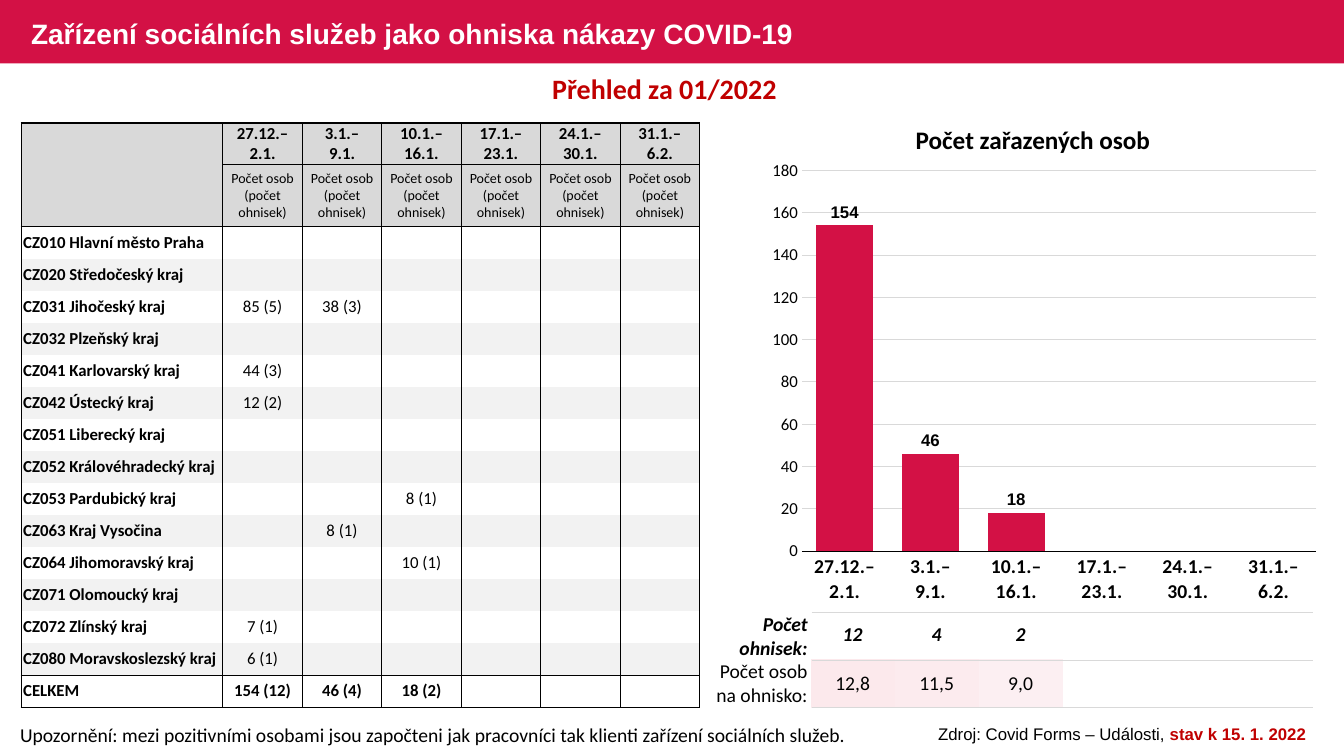
import pptx
import pptx.chart.data
import pptx.dml.color
import pptx.enum.chart
import pptx.enum.shapes
import pptx.enum.text
import pptx.oxml
import pptx.oxml.ns
import pptx.util
from pptx.util import Inches

RED, DARK_RED, BLACK, WHITE = "D31145", "C00000", "000000", "FFFFFF"
HEADER_GREY, BAND_GREY, LINE_GREY = "D9D9D9", "F2F2F2", "D9D9D9"
PLAIN_TABLE_STYLE = "{2D5ABB26-0587-4C30-8999-92F81FD0307C}"
LEFT, CENTER, RIGHT = (pptx.enum.text.PP_ALIGN.LEFT, pptx.enum.text.PP_ALIGN.CENTER,
                       pptx.enum.text.PP_ALIGN.RIGHT)
MIDDLE = pptx.enum.text.MSO_ANCHOR.MIDDLE

WEEKS = ["27.12.–\n2.1.", "3.1.–\n9.1.", "10.1.–\n16.1.",
         "17.1.–\n23.1.", "24.1.–\n30.1.", "31.1.–\n6.2."]
PERSONS = [154, 46, 18, None, None, None]
REGIONS = [
    ("CZ010 Hlavní město Praha", []),
    ("CZ020 Středočeský kraj", []),
    ("CZ031 Jihočeský kraj", ["85 (5)", "38 (3)"]),
    ("CZ032 Plzeňský kraj", []),
    ("CZ041 Karlovarský kraj", ["44 (3)"]),
    ("CZ042 Ústecký kraj", ["12 (2)"]),
    ("CZ051 Liberecký kraj", []),
    ("CZ052 Královéhradecký kraj", []),
    ("CZ053 Pardubický kraj", ["", "", "8 (1)"]),
    ("CZ063 Kraj Vysočina", ["", "8 (1)"]),
    ("CZ064 Jihomoravský kraj", ["", "", "10 (1)"]),
    ("CZ071 Olomoucký kraj", []),
    ("CZ072 Zlínský kraj", ["7 (1)"]),
    ("CZ080 Moravskoslezský kraj", ["6 (1)"]),
    ("CELKEM", ["154 (12)", "46 (4)", "18 (2)"]),
]
OUTBREAKS = [
    ("Počet ohnisek:", ["12", "4", "2"], [], True),
    ("Počet osob na ohnisko:", ["12,8", "11,5", "9,0"], ["FCE9EC", "FCEBEE", "FCEFF2"], False),
]


def rgb(color):
    return pptx.dml.color.RGBColor.from_string(color)


def style_font(font, size, color=BLACK, name="Calibri", bold=False, italic=False):
    font.size, font.name, font.bold, font.italic = pptx.util.Pt(size), name, bold, italic
    font.color.rgb = rgb(color)


def add_text(slide, box, runs, size, align=LEFT, name="Calibri", anchor=None):
    """Add a one-paragraph text box; runs is a list of (text, color, bold)."""
    frame = slide.shapes.add_textbox(*map(Inches, box)).text_frame
    frame.word_wrap = True
    frame.vertical_anchor = anchor
    paragraph = frame.paragraphs[0]
    paragraph.alignment = align
    for text, color, bold in runs:
        run = paragraph.add_run()
        run.text = text
        if len(runs) > 1:
            style_font(run.font, size, color, name, bold)
    if len(runs) == 1:
        style_font(paragraph.font, size, color, name, bold)


def add_plain_table(slide, left, top, widths, heights):
    frame = slide.shapes.add_table(len(heights), len(widths), Inches(left), Inches(top),
                                   Inches(sum(widths)), Inches(sum(heights)))
    table = frame.table
    table.first_row = table.horz_banding = False
    next(frame._element.iter(pptx.oxml.ns.qn("a:tableStyleId"))).text = PLAIN_TABLE_STYLE
    for column, width in zip(table.columns, widths):
        column.width = Inches(width)
    for row, height in zip(table.rows, heights):
        row.height = Inches(height)
    return table


def set_borders(cell, sides, color):
    """Draw cell edges; sides maps L, R, T and B to widths in points, others stay empty."""
    properties = cell._tc.get_or_add_tcPr()
    for position, side in enumerate("LRTB"):
        paint = (f'<a:solidFill><a:srgbClr val="{color}"/></a:solidFill>'
                 if side in sides else "<a:noFill/>")
        properties.insert(position, pptx.oxml.parse_xml(
            f'<a:ln{side} {pptx.oxml.ns.nsdecls("a")} w="{int(sides.get(side, 1) * 12700)}">'
            f'{paint}</a:ln{side}>'))


def fill_cell(cell, text, size, align=CENTER, bold=False, italic=False, fill=None,
              margins=(0.01, 0.01)):
    cell.margin_left, cell.margin_right = map(Inches, margins)
    cell.margin_top = cell.margin_bottom = 0
    cell.vertical_anchor = MIDDLE
    paragraph = cell.text_frame.paragraphs[0]
    if text:
        paragraph.text = text
    paragraph.alignment = align
    style_font(paragraph.font, size, bold=bold, italic=italic)
    if fill:
        cell.fill.solid()
        cell.fill.fore_color.rgb = rgb(fill)
    else:
        cell.fill.background()


def add_region_table(slide):
    row_height = (5.8 - 0.41 - 0.62) / len(REGIONS)
    table = add_plain_table(slide, 0.21, 1.22, [2] + [4.73 / len(WEEKS)] * len(WEEKS),
                            [0.41, 0.62] + [row_height] * len(REGIONS))
    for column, week in enumerate([""] + WEEKS):
        unit = "Počet osob (počet ohnisek)" if week else ""
        fill_cell(table.cell(0, column), week, 12, bold=True, fill=HEADER_GREY)
        fill_cell(table.cell(1, column), unit, 10, fill=HEADER_GREY)
    for row, (region, counts) in enumerate(REGIONS, 2):
        is_total = region == "CELKEM"
        fill = BAND_GREY if row % 2 and not is_total else None
        fill_cell(table.cell(row, 0), region, 12, LEFT, True, fill=fill, margins=(0.02, 0.02))
        for column in range(1, len(WEEKS) + 1):
            text = counts[column - 1] if column <= len(counts) else ""
            fill_cell(table.cell(row, column), text, 12, bold=is_total, fill=fill)
    total_row = len(REGIONS) + 1
    edges = {0: {"T": 1, "B": 1}, 1: {"T": 1, "B": 0.5}, 2: {"T": 0.5},
             total_row - 1: {"B": 1}, total_row: {"T": 1, "B": 1}}
    corner_edges = {0: {"T": 1}, 1: {"B": 0.5}}
    for row in range(total_row + 1):
        for column in range(len(WEEKS) + 1):
            row_edges = edges.get(row, {})
            if column == 0:
                row_edges = corner_edges.get(row, row_edges)
            set_borders(table.cell(row, column), {"L": 1, "R": 1, **row_edges}, BLACK)


def add_outbreak_values(slide):
    table = add_plain_table(slide, 8.04, 6.06, [5 / len(WEEKS)] * len(WEEKS), [0.48] * 2)
    for row, (_, numbers, fills, emphasis) in enumerate(OUTBREAKS):
        for column in range(len(WEEKS)):
            fill_cell(table.cell(row, column),
                      numbers[column] if column < len(numbers) else "", 14,
                      bold=emphasis, italic=emphasis,
                      fill=fills[column] if column < len(fills) else None)


def add_outbreak_labels(slide):
    """Add the row labels and the grey rules that run on beside them."""
    table = add_plain_table(slide, 7.04, 6.08, [1.01] + [0.71] * 7, [0.47] * 2)
    for row, (label, _, _, emphasis) in enumerate(OUTBREAKS):
        fill_cell(table.cell(row, 0), label, 14, RIGHT, emphasis, emphasis,
                  margins=(0.01, 0.04))
        for column in range(1, 8):
            fill_cell(table.cell(row, column), "", 14)
            set_borders(table.cell(row, column), {"T": 1, "B": 1}, LINE_GREY)


def set_plot_area(chart, x, y, width, height):
    """Fix the inner plot area, in fractions of the chart."""
    parts = "".join(f'<c:{tag} val="{value}"/>' for tag, value in
                    zip("xywh", (x, y, width, height)))
    plot_area = chart._chartSpace.chart.plotArea
    for layout in plot_area.findall(pptx.oxml.ns.qn("c:layout")):
        plot_area.remove(layout)
    plot_area.insert(0, pptx.oxml.parse_xml(
        f'<c:layout {pptx.oxml.ns.nsdecls("c")}><c:manualLayout><c:layoutTarget val="inner"/>'
        f'<c:xMode val="edge"/><c:yMode val="edge"/>{parts}</c:manualLayout></c:layout>'))


def add_person_chart(slide):
    data = pptx.chart.data.CategoryChartData()
    data.categories = WEEKS
    data.add_series("Series 1", PERSONS)
    chart = slide.shapes.add_chart(
        pptx.enum.chart.XL_CHART_TYPE.COLUMN_CLUSTERED,
        Inches(7.56), Inches(1.51), Inches(5.61), Inches(4.55), data).chart
    chart.has_legend = chart.has_title = False
    style_font(chart.font, 14, name="Arial", bold=True)
    set_plot_area(chart, 0.07, 0.04, 0.91, 0.83)

    weeks, persons = chart.category_axis, chart.value_axis
    for axis, size, bold in ((weeks, 14, True), (persons, 12, False)):
        axis.major_tick_mark = axis.minor_tick_mark = pptx.enum.chart.XL_TICK_MARK.NONE
        style_font(axis.tick_labels.font, size, bold=bold)
    weeks.format.line.color.rgb = rgb(BLACK)
    weeks.format.line.width = pptx.util.Pt(0.75)
    persons.minimum_scale, persons.maximum_scale, persons.major_unit = 0, 180, 20
    persons.format.line.fill.background()
    persons.major_gridlines.format.line.color.rgb = rgb(LINE_GREY)
    persons.major_gridlines.format.line.width = pptx.util.Pt(0.75)

    plot = chart.plots[0]
    plot.gap_width = 50
    plot.vary_by_categories = False
    series = plot.series[0]
    series.format.fill.solid()
    series.format.fill.fore_color.rgb = rgb(RED)
    labels = series.data_labels
    labels.show_value = True
    labels.position = pptx.enum.chart.XL_LABEL_POSITION.OUTSIDE_END
    style_font(labels.font, 12, name="Arial", bold=True)


def add_title_bar(slide):
    bar = slide.shapes.add_shape(pptx.enum.shapes.MSO_SHAPE.RECTANGLE,
                                 0, 0, Inches(13.33), Inches(0.63))
    bar.shadow.inherit = False
    bar.fill.solid()
    bar.fill.fore_color.rgb = rgb(RED)
    bar.line.fill.background()


def main():
    presentation = pptx.Presentation()
    presentation.slide_width, presentation.slide_height = Inches(13.33), Inches(7.5)
    slide = presentation.slides.add_slide(presentation.slide_layouts[6])
    add_title_bar(slide)
    add_outbreak_values(slide)
    add_region_table(slide)
    add_text(slide, (0.1, 7.12, 8.52, 0.34),
             [("Upozornění: mezi pozitivními osobami jsou započteni jak pracovníci "
               "tak klienti zařízení sociálních služeb.", BLACK, False)], 14)
    add_person_chart(slide)
    add_text(slide, (7.56, 1.18, 5.37, 0.4), [("Počet zařazených osob", BLACK, True)],
             18, CENTER)
    add_outbreak_labels(slide)
    add_text(slide, (0.21, 0.02, 8.13, 0.63),
             [("Zařízení sociálních služeb jako ohniska nákazy COVID-19", WHITE, True)],
             20, name="Arial", anchor=MIDDLE)
    add_text(slide, (0.18, 0.66, 12.82, 0.44), [("Přehled za 01/2022", DARK_RED, True)],
             20, CENTER)
    add_text(slide, (9.03, 7.13, 4.2, 0.3),
             [("Zdroj: Covid Forms – Události, ", BLACK, False),
              ("stav k 15. 1. 2022", DARK_RED, True)], 12, CENTER, "Arial")
    presentation.save("out.pptx")


if __name__ == "__main__":
    main()
